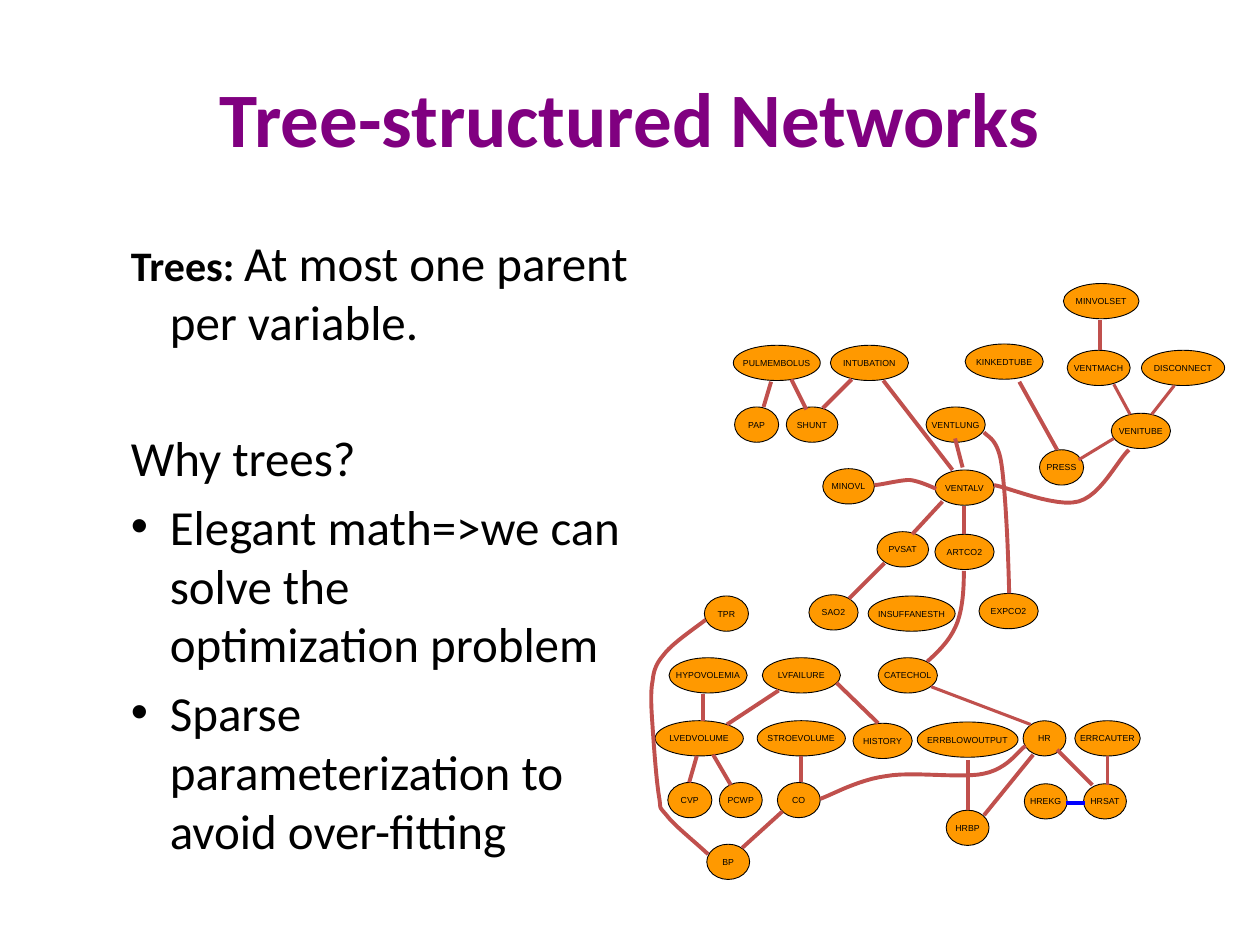
from lxml import etree
from pptx import Presentation, util as u
from pptx.dml.color import RGBColor
from pptx.enum import shapes, text
from pptx.oxml.ns import qn

THEME = {
    "title": "800080", "ink": "000000", "node": "FF9900",
    "edge": "C0504D", "mark": "0000FF",
    "font": "Calibri", "small": "Arial",
    "head": 44, "body": 28, "term": 24, "label": 5,
    "thin": 1.75, "thick": 2.25, "rim": 0.5,
}
TITLE = "Tree-structured Networks"
# runs as (text, size, bold); then bullet flag and space before in points
BODY = [
    ([("Trees: ", "term", True),
      ("At most one parent per variable.", "body", False)], False, 0),
    ([("Why trees?", "body", False)], False, 44),
    ([("Elegant math=>we can solve the \voptimization problem", "body", False)],
     True, 5.6),
    ([("Sparse parameterization to avoid over-fitting", "body", False)],
     True, 5.6),
]

# Diagram data is in inches; every ellipse has the same height.
TALL = 0.28
NODES = [  # label, left, top, width
    ("MINVOLSET", 8.44, 2.25, 0.6), ("PULMEMBOLUS", 5.82, 2.74, 0.69),
    ("INTUBATION", 6.59, 2.74, 0.62), ("KINKEDTUBE", 7.66, 2.73, 0.62),
    ("VENTMACH", 8.47, 2.78, 0.5), ("DISCONNECT", 9.06, 2.78, 0.66),
    ("PAP", 5.83, 3.23, 0.35), ("SHUNT", 6.24, 3.23, 0.41),
    ("VENTLUNG", 7.35, 3.23, 0.47), ("VENITUBE", 8.82, 3.28, 0.47),
    ("PRESS", 8.25, 3.57, 0.35), ("MINOVL", 6.53, 3.72, 0.41),
    ("VENTALV", 7.42, 3.73, 0.47), ("PVSAT", 6.96, 4.22, 0.41),
    ("ARTCO2", 7.42, 4.24, 0.47), ("TPR", 5.59, 4.73, 0.35),
    ("SAO2", 6.42, 4.72, 0.39), ("INSUFFANESTH", 6.89, 4.73, 0.69),
    ("EXPCO2", 7.77, 4.71, 0.47), ("HYPOVOLEMIA", 5.31, 5.22, 0.62),
    ("LVFAILURE", 6.05, 5.22, 0.62), ("CATECHOL", 6.97, 5.22, 0.47),
    ("LVEDVOLUME", 5.2, 5.72, 0.7), ("STROEVOLUME", 6.01, 5.72, 0.7),
    ("HISTORY", 6.77, 5.74, 0.47), ("ERRBLOWOUTPUT", 7.28, 5.73, 0.8),
    ("HR", 8.12, 5.72, 0.34), ("ERRCAUTER", 8.53, 5.72, 0.52),
    ("CVP", 5.3, 6.21, 0.35), ("PCWP", 5.71, 6.21, 0.34),
    ("CO", 6.17, 6.21, 0.34), ("HRBP", 7.51, 6.43, 0.34),
    ("HREKG", 8.13, 6.22, 0.34), ("HRSAT", 8.6, 6.22, 0.34),
    ("BP", 5.61, 6.7, 0.34),
]
LINES = {  # (colour, weight): x1, y1, x2, y2
    ("edge", "thin"): [
        (8.73, 2.54, 8.73, 2.78), (9.32, 3.06, 9.14, 3.29),
        (8.84, 3.05, 8.97, 3.29), (8.84, 3.48, 8.56, 3.65),
        (7.39, 5.45, 8.18, 5.75)],
    ("edge", "thick"): [
        (6.12, 3.03, 6.06, 3.23), (6.28, 3.01, 6.4, 3.25),
        (6.76, 3.01, 6.53, 3.24), (7.01, 3.02, 7.56, 3.73),
        (7.58, 3.48, 7.64, 3.71), (8.09, 3.03, 8.39, 3.57),
        (7.65, 4.02, 7.65, 4.24), (7.48, 3.98, 7.24, 4.24),
        (7.02, 4.47, 6.74, 4.75), (6.18, 5.48, 5.77, 5.75),
        (6.64, 5.42, 6.97, 5.74), (5.58, 5.51, 5.58, 5.72),
        (5.66, 5.99, 5.8, 6.23), (5.53, 6, 5.47, 6.21),
        (6.36, 6, 6.36, 6.21), (8.39, 5.95, 8.67, 6.23),
        (8.79, 6, 8.79, 6.23), (8.2, 5.99, 7.81, 6.47),
        (6.21, 6.44, 5.89, 6.73), (7.68, 6.03, 7.68, 6.43)],
    ("mark", "thick"): [(8.46, 6.37, 8.61, 6.37)],
}
CURVES = [  # start point, then two handles and an end point per cubic piece
    [(7.81, 3.43), (7.84, 3.47), (7.92, 3.48), (7.95, 3.69),
     (7.98, 3.91), (8, 4.3), (8.01, 4.71)],
    [(7.65, 4.53), (7.65, 4.68), (7.64, 4.84), (7.59, 4.96),
     (7.54, 5.08), (7.45, 5.17), (7.36, 5.25)],
    [(5.6, 4.92), (5.55, 4.96), (5.36, 5.09), (5.29, 5.17),
     (5.22, 5.25), (5.19, 5.3), (5.18, 5.4),
     (5.16, 5.5), (5.17, 5.63), (5.18, 5.78),
     (5.19, 5.93), (5.21, 6.2), (5.23, 6.32),
     (5.25, 6.43), (5.22, 6.39), (5.29, 6.47),
     (5.35, 6.55), (5.49, 6.66), (5.62, 6.78)],
    [(8.14, 5.92), (8.08, 5.96), (8, 6.1), (7.81, 6.14),
     (7.63, 6.18), (7.24, 6.12), (7.03, 6.16),
     (6.81, 6.19), (6.62, 6.3), (6.51, 6.34)],
    [(6.94, 3.85), (6.99, 3.85), (7.14, 3.81), (7.22, 3.81),
     (7.3, 3.82), (7.38, 3.86), (7.43, 3.88)],
    [(7.89, 3.85), (8.01, 3.87), (8.38, 4.03), (8.56, 3.98),
     (8.74, 3.93), (8.87, 3.65), (8.96, 3.57)],
]


def cm(*vals):
    """Turn inches into lengths."""
    return [u.Cm(v * 2.54) for v in vals]


def tint(name):
    return RGBColor.from_string(THEME[name])


def style(font, face, size, color, bold=False):
    font.name, font.size, font.bold = THEME[face], u.Pt(THEME[size]), bold
    font.color.rgb = tint(color)


def ink(line, color, weight):
    line.color.rgb, line.width = tint(color), u.Pt(THEME[weight])


def add_title(page):
    frame = page.shapes.add_textbox(*cm(0.5, 0.3, 9, 1.25)).text_frame
    frame.word_wrap = True
    frame.vertical_anchor = text.MSO_ANCHOR.MIDDLE
    frame.text = TITLE
    para = frame.paragraphs[0]
    para.alignment = text.PP_ALIGN.CENTER
    style(para.runs[0].font, "font", "head", "title", True)


def add_body(page):
    frame = page.shapes.add_textbox(*cm(0.94, 1.8, 4.17, 5.4)).text_frame
    frame.word_wrap = True
    hang = cm(0.31)[0]
    for i, (runs, dot, gap) in enumerate(BODY):
        para = frame.add_paragraph() if i else frame.paragraphs[0]
        props = para._p.get_or_add_pPr()
        props.set("marL", str(hang))
        props.set("indent", str(-hang))
        if dot:
            etree.SubElement(props, qn("a:buFont")).set("typeface", "Arial")
            etree.SubElement(props, qn("a:buChar")).set("char", "•")
        if gap:
            para.space_before = u.Pt(gap)
        para.text = runs[0][0]
        for words, _, _ in runs[1:]:
            para.add_run().text = words
        for run, spec in zip(para.runs, runs):
            style(run.font, "font", spec[1], "ink", spec[2])
        for run in para.runs[len(runs):]:
            style(run.font, "font", runs[-1][1], "ink", runs[-1][2])


def add_node(page, label, x, y, w):
    node = page.shapes.add_shape(shapes.MSO_SHAPE.OVAL, *cm(x, y, w, TALL))
    node.shadow.inherit = False
    node.fill.solid()
    node.fill.fore_color.rgb = tint("node")
    ink(node.line, "ink", "rim")
    frame = node.text_frame
    frame.word_wrap = False
    frame.margin_left = frame.margin_right = 0
    frame.margin_top = frame.margin_bottom = 0
    frame.vertical_anchor = text.MSO_ANCHOR.MIDDLE
    frame.text = label
    frame.paragraphs[0].alignment = text.PP_ALIGN.CENTER
    style(frame.paragraphs[0].runs[0].font, "small", "label", "ink")


def add_line(page, ends, color, weight):
    line = page.shapes.add_connector(shapes.MSO_CONNECTOR.STRAIGHT, *cm(*ends))
    ink(line.line, color, weight)
    etree.SubElement(line._element.spPr, qn("a:effectLst"))


def trace(pts, steps=12):
    """Sample points along joined cubic curves."""
    path = [pts[0]]
    for i in range(0, len(pts) - 1, 3):
        for k in range(1, steps + 1):
            t = k / steps
            mix = ((1 - t) ** 3, 3 * t * (1 - t) ** 2, 3 * t * t * (1 - t), t ** 3)
            path.append(tuple(sum(m * p[a] for m, p in zip(mix, pts[i:i + 4]))
                              for a in (0, 1)))
    return [cm(*p) for p in path]


def add_curve(page, pts):
    path = trace(pts)
    pen = page.shapes.build_freeform(*path[0])
    pen.add_line_segments(path[1:], close=False)
    curve = pen.convert_to_shape()
    curve.shadow.inherit = False
    curve.fill.background()
    ink(curve.line, "edge", "thick")


def main():
    deck = Presentation()
    deck.slide_width, deck.slide_height = cm(10, 7.5)
    page = deck.slides.add_slide(deck.slide_layouts[6])
    add_title(page)
    add_body(page)
    for node in NODES:
        add_node(page, *node)
    for (color, weight), group in LINES.items():
        for ends in group:
            add_line(page, ends, color, weight)
    for pts in CURVES:
        add_curve(page, pts)
    deck.save("out.pptx")


if __name__ == "__main__":
    main()
